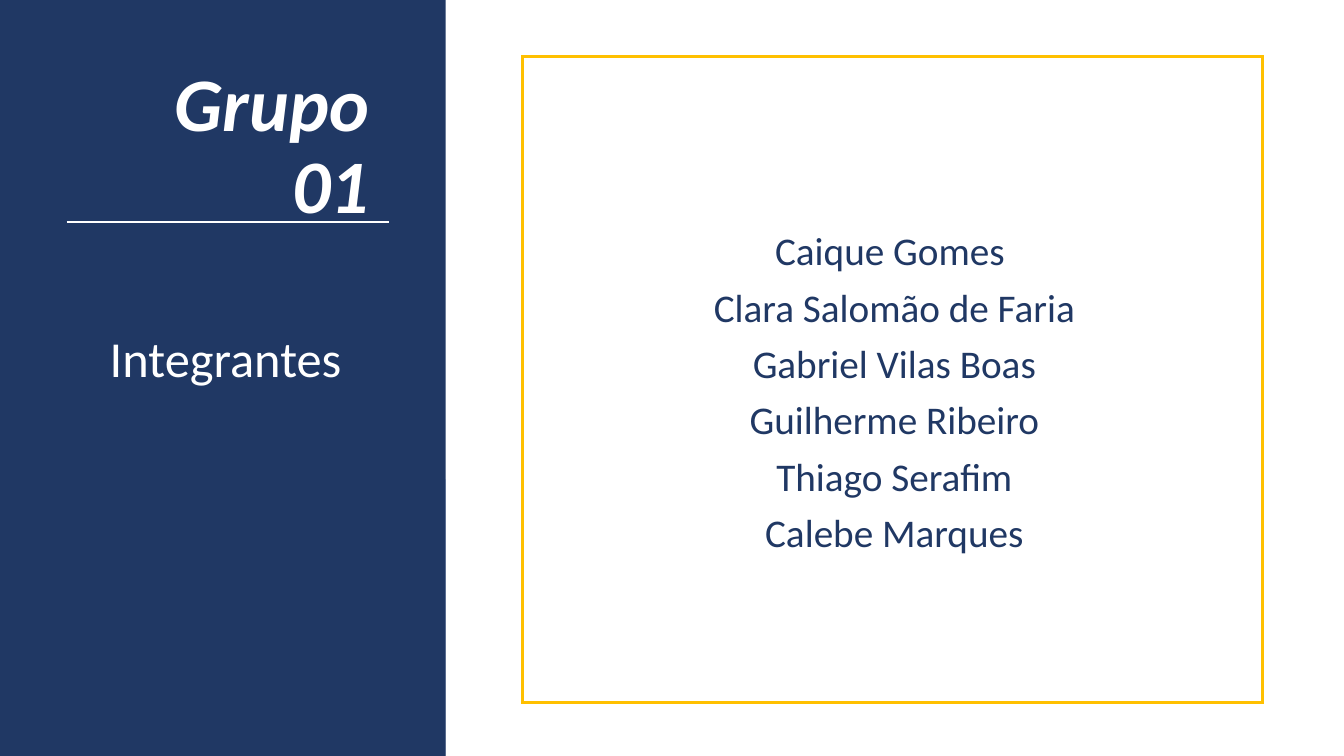
from lxml import etree
from pptx import Presentation
from pptx.dml.color import RGBColor
from pptx.enum.shapes import MSO_CONNECTOR, MSO_SHAPE
from pptx.enum.text import MSO_ANCHOR, PP_ALIGN
from pptx.oxml.ns import qn
from pptx.util import Inches, Pt

RECTANGLE = MSO_SHAPE.RECTANGLE
STRAIGHT = MSO_CONNECTOR.STRAIGHT
TOP, BOTTOM = MSO_ANCHOR.TOP, MSO_ANCHOR.BOTTOM
LEFT, CENTER, RIGHT = PP_ALIGN.LEFT, PP_ALIGN.CENTER, PP_ALIGN.RIGHT

COLORS = {"navy": "203864", "gold": "FFC000", "white": "FFFFFF",
          "blue": "4472C4", "black": "000000"}
MEMBERS = [
    "Caique Gomes ",
    "Clara Salomão de Faria",
    "Gabriel Vilas Boas",
    "Guilherme Ribeiro",
    "Thiago Serafim",
    "Calebe Marques",
]


class SlideBuilder:
    """Draws styled elements on one slide."""

    font_name = "Calibri"

    def __init__(self, slide):
        self.slide = slide

    def color(self, name):
        return RGBColor.from_string(COLORS[name])

    def rectangle(self, left, top, width, height, fill=None, outline=None, weight=1):
        box = self.slide.shapes.add_shape(
            RECTANGLE, Inches(left), Inches(top), Inches(width), Inches(height))
        box.shadow.inherit = False
        if fill:
            box.fill.solid()
            box.fill.fore_color.rgb = self.color(fill)
        else:
            box.fill.background()
        if outline:
            box.line.color.rgb = self.color(outline)
            box.line.width = Pt(weight)
            corner = etree.SubElement(box.line._get_or_add_ln(), qn("a:miter"))
            corner.set("lim", "800000")
        else:
            box.line.fill.background()
        return box

    def shade(self, left, top, width, height, stops, angle):
        box = self.rectangle(left, top, width, height)
        box.fill.gradient()
        box.fill.gradient_angle = angle
        for stop, (position, name, _) in zip(box.fill.gradient_stops, stops):
            stop.position = position
            stop.color.rgb = self.color(name)
        for tone, (_, _, opacity) in zip(box._element.spPr.iter(qn("a:srgbClr")), stops):
            etree.SubElement(tone, qn("a:alpha")).set("val", str(opacity * 1000))

    def rule(self, left, right, y, color, weight):
        line = self.slide.shapes.add_connector(
            STRAIGHT, Inches(left), Inches(y), Inches(right), Inches(y))
        line.line.color.rgb = self.color(color)
        line.line.width = Pt(weight)
        etree.SubElement(line._element.spPr, qn("a:effectLst"))

    def text(self, left, top, width, height, lines, size, color, align=LEFT,
             anchor=TOP, spacing=1.0, before=0, bold=False, italic=False):
        frame = self.slide.shapes.add_textbox(
            Inches(left), Inches(top), Inches(width), Inches(height)).text_frame
        frame.word_wrap = True
        frame.vertical_anchor = anchor
        frame.text = "\n".join(lines)
        for paragraph in frame.paragraphs:
            paragraph.alignment = align
            paragraph.line_spacing = spacing
            paragraph.space_before = Pt(before)
            font = paragraph.font
            font.name = self.font_name
            font.size = Pt(size)
            font.bold = bold
            font.italic = italic
            font.color.rgb = self.color(color)


def main():
    presentation = Presentation()
    presentation.slide_width = Inches(13.33)
    presentation.slide_height = Inches(7.5)
    builder = SlideBuilder(presentation.slides.add_slide(presentation.slide_layouts[6]))

    builder.shade(0, 4.76, 4.42, 2.74,
                  [(0.02, "blue", 29), (1, "black", 30)], angle=220)
    builder.rectangle(0, 0, 4.42, 7.5, fill="navy")
    builder.text(0.79, 1.58, 2.97, 0.75, ["Grupo 01"], 54, "white", align=RIGHT,
                 anchor=BOTTOM, spacing=0.9, bold=True, italic=True)
    builder.rectangle(5.18, 0.56, 7.34, 6.41, outline="gold", weight=2.25)
    builder.rule(0.66, 3.86, 2.2, "white", 1.5)
    builder.text(0.99, 3.2, 2.56, 0.71, ["Integrantes"], 36, "white")
    builder.text(6.78, 2.25, 4.18, 4.15, MEMBERS, 28, "navy", align=CENTER,
                 spacing=0.9, before=10)

    presentation.save("out.pptx")


if __name__ == "__main__":
    main()
